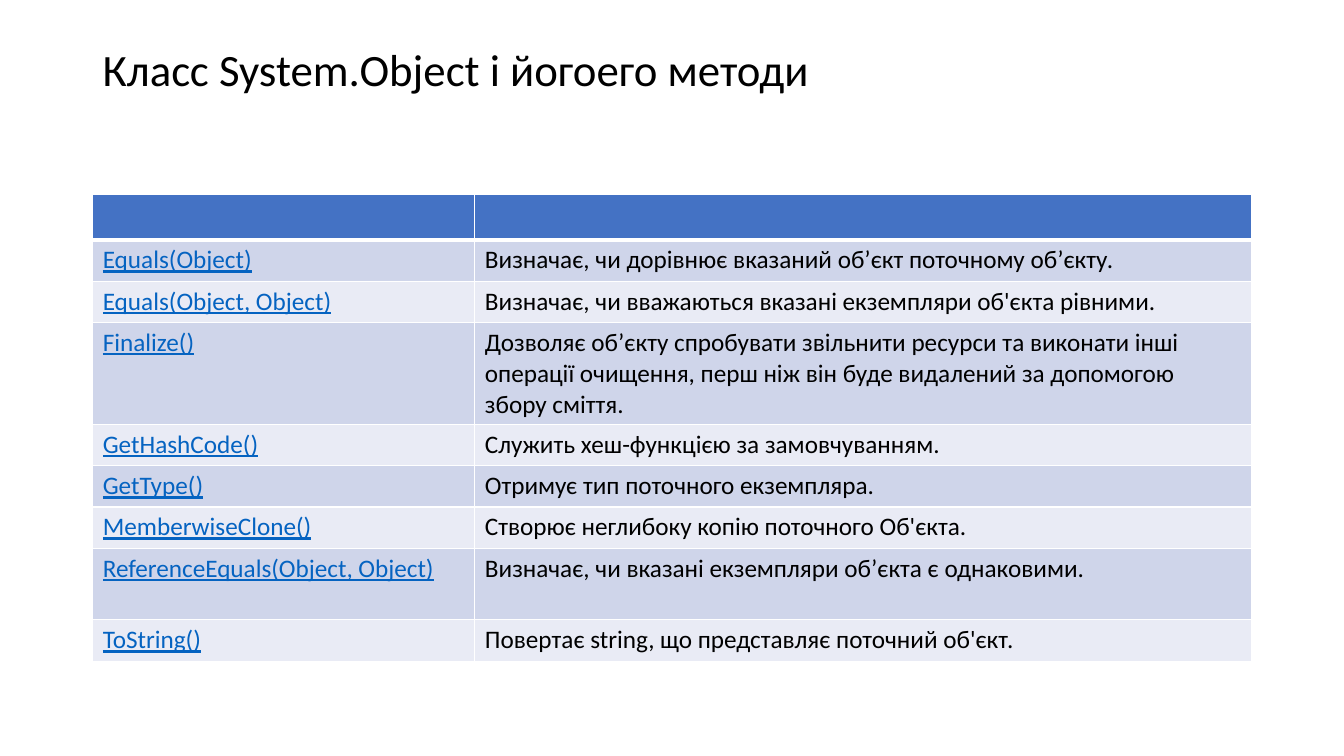
import pptx
import pptx.dml.color
import pptx.enum.text
import pptx.oxml.ns
import pptx.util
from lxml import etree

Inches = pptx.util.Inches
Pt = pptx.util.Pt
RGBColor = pptx.dml.color.RGBColor

BLACK = RGBColor(0x00, 0x00, 0x00)
WHITE = RGBColor(0xFF, 0xFF, 0xFF)
HEADER_BLUE = RGBColor(0x44, 0x72, 0xC4)
BANDS = (RGBColor(0xCF, 0xD5, 0xEA), RGBColor(0xE9, 0xEB, 0xF5))
LINK_BLUE = RGBColor(0x05, 0x63, 0xC1)
FONT = "Calibri"

# Method, description, row height in inches
METHODS = [
    ("Equals(Object)", "Визначає, чи дорівнює вказаний об’єкт поточному об’єкту.", 0.41),
    ("Equals(Object, Object)", "Визначає, чи вважаються вказані екземпляри об'єкта рівними.", 0.41),
    ("Finalize()", "Дозволяє об’єкту спробувати звільнити ресурси та виконати інші "
     "операції очищення, перш ніж він буде видалений за допомогою збору сміття.", 1.01),
    ("GetHashCode()", "Служить хеш-функцією за замовчуванням.", 0.41),
    ("GetType()", "Отримує тип поточного екземпляра.", 0.41),
    ("MemberwiseClone()", "Створює неглибоку копію поточного Об'єкта.", 0.41),
    ("ReferenceEquals(Object, Object)", "Визначає, чи вказані екземпляри об’єкта є однаковими.", 0.71),
    ("ToString()", "Повертає string, що представляє поточний об'єкт.", 0.41),
]
HEADER_HEIGHT = 0.45


def add_run(p, text, size, color, underline=False):
    r = p.add_run()
    r.text = text
    r.font.name = FONT
    r.font.size = Pt(size)
    r.font.color.rgb = color
    r.font.underline = underline


def add_title(s, left, top, width, height):
    tf = s.shapes.add_textbox(Inches(left), Inches(top), Inches(width), Inches(height)).text_frame
    tf.word_wrap = True
    tf.vertical_anchor = pptx.enum.text.MSO_ANCHOR.MIDDLE
    p = tf.paragraphs[0]
    p.line_spacing = 0.9
    add_run(p, "Класс System.Object і йогоего методи", 32, BLACK)


def style_cell(cell, color, top=1, bottom=1):
    # Borders come before the fill in the cell properties
    qn = pptx.oxml.ns.qn
    tcPr = cell._tc.get_or_add_tcPr()
    for side, width in (("L", 1), ("R", 1), ("T", top), ("B", bottom)):
        ln = etree.SubElement(tcPr, qn(f"a:ln{side}"), w=str(Pt(width)))
        fill = etree.SubElement(ln, qn("a:solidFill"))
        etree.SubElement(fill, qn("a:srgbClr"), val=str(WHITE))
    cell.fill.solid()
    cell.fill.fore_color.rgb = color


def add_methods_table(s, left, top, column_widths):
    heights = [HEADER_HEIGHT] + [height for _, _, height in METHODS]
    table = s.shapes.add_table(len(heights), len(column_widths), Inches(left), Inches(top),
                               Inches(sum(column_widths)), Inches(sum(heights))).table
    for column, width in zip(table.columns, column_widths):
        column.width = Inches(width)
    for row, height in zip(table.rows, heights):
        row.height = Inches(height)

    # Empty header row with a heavy lower rule
    for cell in table.rows[0].cells:
        style_cell(cell, HEADER_BLUE, bottom=3)

    # Banded method rows
    for i, (method, description, _) in enumerate(METHODS):
        name_cell, text_cell = table.rows[i + 1].cells
        for cell in (name_cell, text_cell):
            style_cell(cell, BANDS[i % 2], top=3 if i == 0 else 1)
        add_run(name_cell.text_frame.paragraphs[0], method, 18, LINK_BLUE, underline=True)
        add_run(text_cell.text_frame.paragraphs[0], description, 18, BLACK)


def main():
    prs = pptx.Presentation()
    prs.slide_width = Inches(13.33)
    prs.slide_height = Inches(7.5)
    s = prs.slides.add_slide(prs.slide_layouts[6])
    add_title(s, 0.92, 0.4, 11.5, 0.63)
    add_methods_table(s, 0.92, 1.93, (3.79, 7.7))
    prs.save("out.pptx")


if __name__ == "__main__":
    main()
